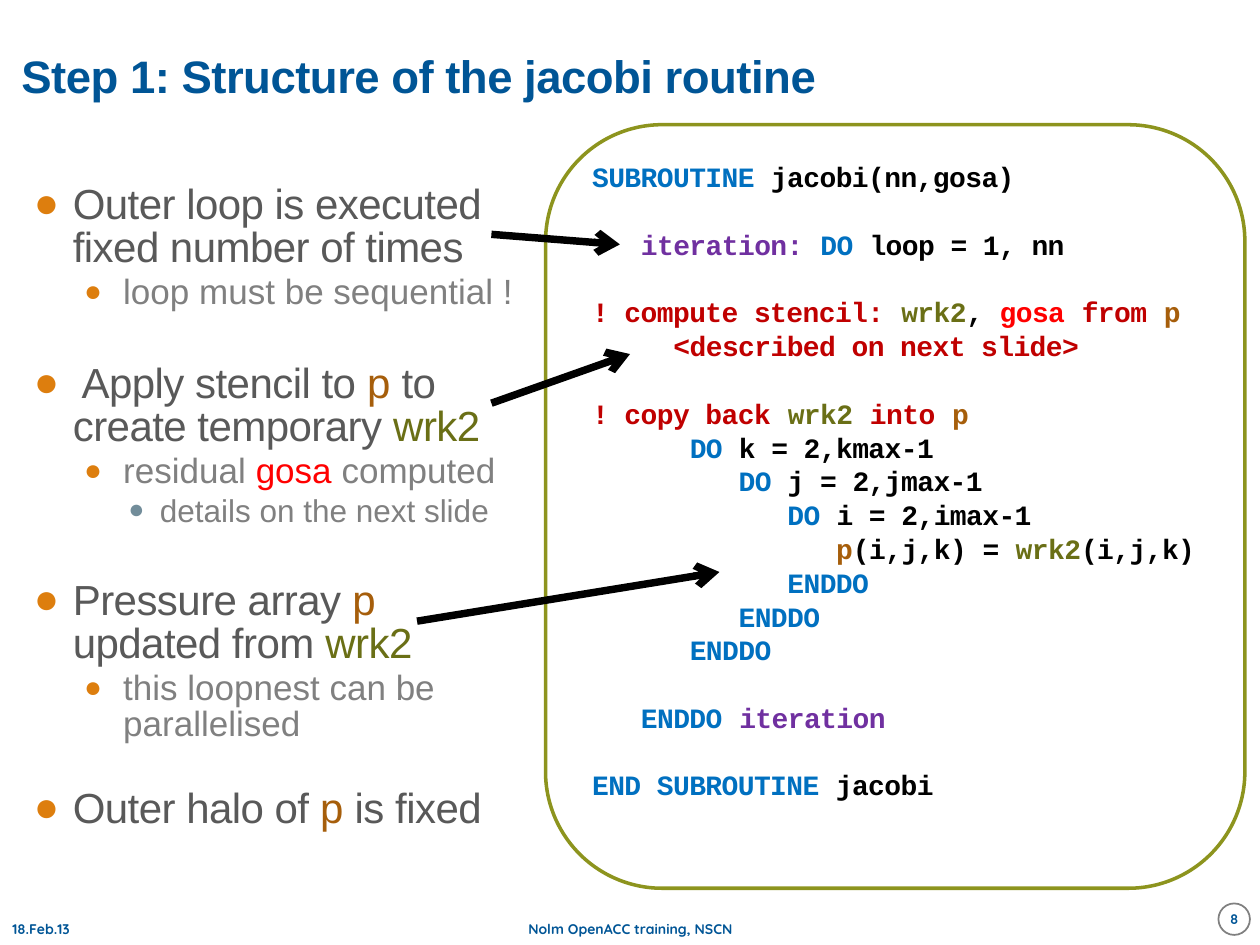
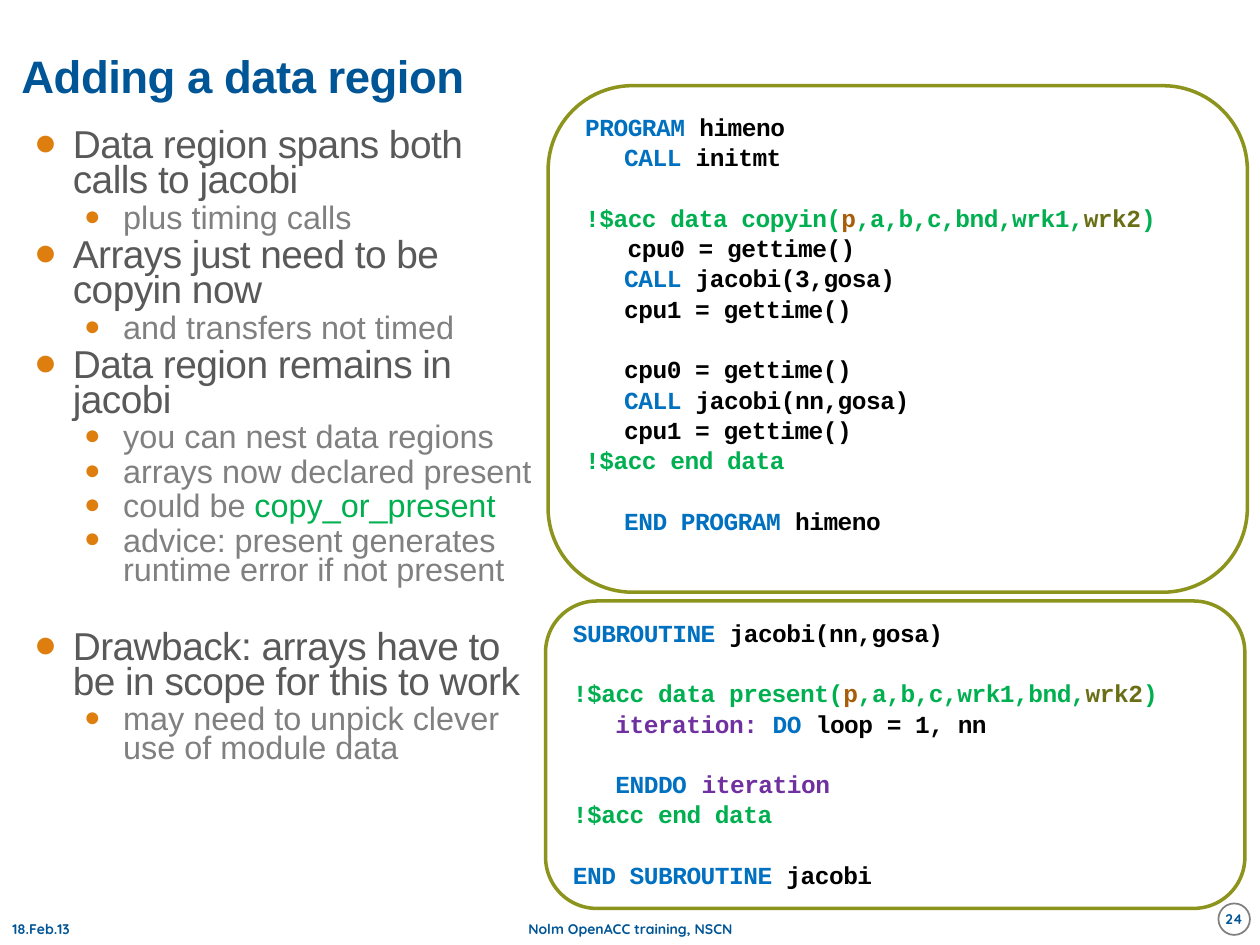
import pptx
import pptx.util
import pptx.dml.color
import pptx.enum.shapes
import pptx.enum.text
import lxml.etree
import pptx.oxml.ns

Inches, Pt = pptx.util.Inches, pptx.util.Pt
SHAPE = pptx.enum.shapes.MSO_SHAPE
ANCHOR = pptx.enum.text.MSO_ANCHOR
ALIGN = pptx.enum.text.PP_ALIGN

HUES = {
    "navy": "005596", "white": "FFFFFF", "black": "000000", "grey": "808080",
    "dark": "595959", "slate": "728D9A", "orange": "DD7E0E", "lime": "8D941E",
    "blue": "0070C0", "purple": "7030A0", "crimson": "C00000", "red": "FF0000",
    "brown": "A65E0B", "olive": "6A6F16", "green": "00B050",
}
TAB = 2.75
EDGE = 1.5

# Each level: left margin, hang, size, text hue, bullet hue, bullet percent, tracking
LEVELS = [
    (0.31, 0.31, 24, "dark", "orange", 100, -0.3),
    (0.71, 0.31, 20, "grey", "orange", 85, 0),
    (1.0, 0.25, 18, "grey", "slate", 85, 0),
]

STEPS = [
    (0, "Outer loop is executed fixed number of times"),
    (1, "loop must be sequential !"),
    (0, ""),
    (0, " Apply stencil to {brown p} to create temporary {olive wrk2}"),
    (1, "residual {red gosa} computed"),
    (2, "details on the next slide"),
    (0, ""),
    (0, "Pressure array {brown p} updated from {olive wrk2}"),
    (1, "this loopnest can be parallelised"),
    (1, ""),
    (0, "Outer halo of {brown p} is fixed"),
]
REGION = [
    (0, "Data region spans both calls to jacobi"),
    (1, "plus timing calls"),
    (0, "Arrays just need to be copyin now"),
    (1, "and transfers not timed"),
    (0, "Data region remains in jacobi"),
    (1, "you can nest data regions"),
    (1, "arrays now declared present"),
    (1, "could be {green copy_or_present}"),
    (1, "advice: present generates runtime error if not present"),
    (0, ""),
    (0, "Drawback: arrays have to be in scope for this to work"),
    (1, "may need to unpick clever use of module data"),
]
JACOBI = [
    (0, "{blue SUBROUTINE} jacobi(nn,gosa)"),
    (0, ""),
    (3, "{purple iteration:} {blue DO} loop = 1, nn"),
    (0, ""),
    (0, "{crimson ! compute stencil:} {olive wrk2}, {red gosa} {crimson from} {brown p}"),
    (5, "{crimson <described on next slide>}"),
    (0, ""),
    (0, "{crimson ! copy back} {olive wrk2} {crimson into} {brown p}"),
    (6, "{blue DO} k = 2,kmax-1"),
    (9, "{blue DO} j = 2,jmax-1"),
    (12, "{blue DO} i = 2,imax-1"),
    (15, "{brown p}(i,j,k) = {olive wrk2}(i,j,k)"),
    (12, "{blue ENDDO}"),
    (9, "{blue ENDDO}"),
    (6, "{blue ENDDO}"),
    (0, ""),
    (3, "{blue ENDDO} {purple iteration}"),
    (0, ""),
    (0, "{blue END SUBROUTINE} jacobi"),
]
PRESENT = [
    (0, "{blue SUBROUTINE} jacobi(nn,gosa)"),
    (0, ""),
    (0, "{green !$acc data present(}{brown p}{green ,a,b,c,wrk1,bnd,}{olive wrk2}{green )}"),
    (3, "{purple iteration:} {blue DO} loop = 1, nn"),
    (0, ""),
    (3, "{blue ENDDO} {purple iteration}"),
    (0, "{green !$acc end data}"),
    (0, ""),
    (0, "{blue END SUBROUTINE} jacobi"),
]
PROGRAM = [
    (0, "{blue PROGRAM} himeno"),
    (TAB, "{blue CALL} initmt"),
    (0, ""),
    (0, "{green !$acc data copyin(}{brown p}{green ,a,b,c,bnd,wrk1,}{olive wrk2}{green )}"),
    (3, "cpu0 = gettime()"),
    (TAB, "{blue CALL} jacobi(3,gosa)"),
    (TAB, "cpu1 = gettime()"),
    (0, ""),
    (TAB, "cpu0 = gettime()"),
    (TAB, "{blue CALL} jacobi(nn,gosa)"),
    (TAB, "cpu1 = gettime()"),
    (0, "{green !$acc end data}"),
    (0, ""),
    (TAB, "{blue END PROGRAM} himeno"),
]


def rgb(hue):
    """Return the named colour."""
    return pptx.dml.color.RGBColor.from_string(HUES[hue])


def add(parent, tag, **attrs):
    """Append a drawing element to a parent."""
    return lxml.etree.SubElement(parent, pptx.oxml.ns.qn(tag), attrs)


def write(para, text, face, size, hue, bold=False, track=0):
    """Fill a paragraph, with {hue words} marking coloured spans."""
    font = para.font
    font.name, font.size, font.bold = face, Pt(size), bold
    for i, part in enumerate(text.replace("}", "{").split("{")):
        tint = hue
        if i % 2:
            tint, _, part = part.partition(" ")
        if part:
            run = para.add_run()
            run.text = part
            run.font.color.rgb = rgb(tint)
            if track:
                run._r.get_or_add_rPr().set("spc", str(round(track * 100)))


def space(para, lead, gap=0):
    """Set line pitch and the space around a paragraph."""
    para.line_spacing = lead
    para.space_before, para.space_after = Pt(EDGE + gap), Pt(EDGE)


def blank(size, lead):
    """Return the height in points that one empty line takes."""
    return size * 1.14 * lead + 2 * EDGE + 0.8


def frame(shape, anchor, inset=True):
    """Prepare the text frame of a shape and return it."""
    text = shape.text_frame
    text.word_wrap, text.vertical_anchor = True, anchor
    if not inset:
        text.margin_left = text.margin_right = 0
        text.margin_top = text.margin_bottom = 0
    return text


def fill(text, lines):
    """Yield a fresh paragraph of the frame for every line of words."""
    para = text.paragraphs[0]
    for i, (step, words) in enumerate(lines):
        if not words:
            yield None, step, words
            continue
        yield para if i == 0 else text.add_paragraph(), step, words


def label(slide, box, words, anchor=ANCHOR.MIDDLE, align=ALIGN.LEFT):
    """Add a small footer label."""
    text = frame(slide.shapes.add_textbox(*map(Inches, box)), anchor)
    para = text.paragraphs[0]
    para.alignment = align
    write(para, words, "Quicksand", 8, "navy", True)


def panel(slide, kind, box, line, width):
    """Add a white outlined shape."""
    shape = slide.shapes.add_shape(kind, *map(Inches, box))
    shape.shadow.inherit = False
    shape.fill.solid()
    shape.fill.fore_color.rgb = rgb("white")
    shape.line.color.rgb = rgb(line)
    shape.line.width = Pt(width)
    return shape


def base(deck, title, number):
    """Add a slide with its title, footer and page number."""
    slide = deck.slides.add_slide(deck.slide_layouts[6])
    slide.background.fill.solid()
    slide.background.fill.fore_color.rgb = rgb("white")
    head = slide.shapes.add_textbox(*map(Inches, (0.17, 0.17, 8, 0.92)))
    para = frame(head, ANCHOR.MIDDLE, False).paragraphs[0]
    para.line_spacing = 0.85
    write(para, title, "Arial", 26, "navy", True, -0.3)
    label(slide, (0, 7.25, 2.33, 0.25), "18.Feb.13")
    label(slide, (3.42, 7.25, 3.17, 0.25), "Nolm OpenACC training, NSCN", align=ALIGN.CENTER)
    disc = panel(slide, SHAPE.OVAL, (9.67, 7.17, 0.25, 0.25), "grey", 1)
    para = frame(disc, ANCHOR.MIDDLE, False).paragraphs[0]
    para.alignment = ALIGN.CENTER
    write(para, str(number), "Quicksand", 8, "navy", True)
    return slide


def points(slide, box, lines, lead=0.85, scale=1):
    """Add the bulleted list."""
    text = frame(slide.shapes.add_textbox(*map(Inches, box)), ANCHOR.TOP)
    gap = 0
    for para, level, words in fill(text, lines):
        left, hang, size, hue, dot, part, track = LEVELS[level]
        size *= scale
        if para is None:
            gap += blank(size, lead)
            continue
        para.level = level
        props = para._p.get_or_add_pPr()
        props.set("marL", str(Inches(left)))
        props.set("indent", str(-Inches(hang)))
        add(add(props, "a:buClr"), "a:srgbClr", val=HUES[dot])
        add(props, "a:buSzPct", val=str(part * 1000))
        add(props, "a:buFont", typeface="Arial")
        add(props, "a:buChar", char="●")
        space(para, lead, gap)
        write(para, words, "Arial", size, hue, track=track)
        gap = 0


def code(slide, box, lines, size):
    """Add a rounded panel of program text, indented by character widths."""
    shape = panel(slide, SHAPE.ROUNDED_RECTANGLE, box, "lime", 2)
    text = frame(shape, ANCHOR.TOP)
    gap = 0
    for para, chars, words in fill(text, lines):
        if para is None:
            gap += blank(size, 0.85)
            continue
        para.alignment = ALIGN.LEFT
        para._p.get_or_add_pPr().set("marL", str(Pt(chars * (size * 0.6 - 0.3))))
        space(para, 0.85, gap)
        write(para, words, "Courier New", size, "black", True, -0.3)
        gap = 0


def arrow(slide, start, end):
    """Add a thick black arrow from a point of the list to the code."""
    line = slide.shapes.add_connector(
        pptx.enum.shapes.MSO_CONNECTOR.STRAIGHT, *map(Inches, start + end))
    line.line.color.rgb = rgb("black")
    line.line.width = Pt(4.25)
    add(line.line._get_or_add_ln(), "a:tailEnd", type="arrow")
    add(line._element.spPr, "a:effectLst")


def main():
    """Build and save the deck."""
    deck = pptx.Presentation()
    deck.slide_width, deck.slide_height = Inches(10), Inches(7.5)

    slide = base(deck, "Step 1: Structure of the jacobi routine", 8)
    points(slide, (0.17, 1.42, 4.17, 5.67), STEPS)
    code(slide, (4.33, 0.99, 5.55, 6.06), JACOBI, 16)
    for start, end in [((3.9, 3.2), (5, 2.81)), ((3.31, 4.93), (5.71, 4.54)),
                       ((3.9, 1.86), (4.92, 1.94))]:
        arrow(slide, start, end)

    slide = base(deck, "Adding a data region", 24)
    points(slide, (0.17, 0.99, 4.17, 6.09), REGION, 0.75, 0.925)
    code(slide, (4.33, 4.77, 5.55, 2.44), PRESENT, 14)
    code(slide, (4.35, 0.68, 5.55, 4.02), PROGRAM, 14)
    deck.save("out.pptx")


if __name__ == "__main__":
    main()
